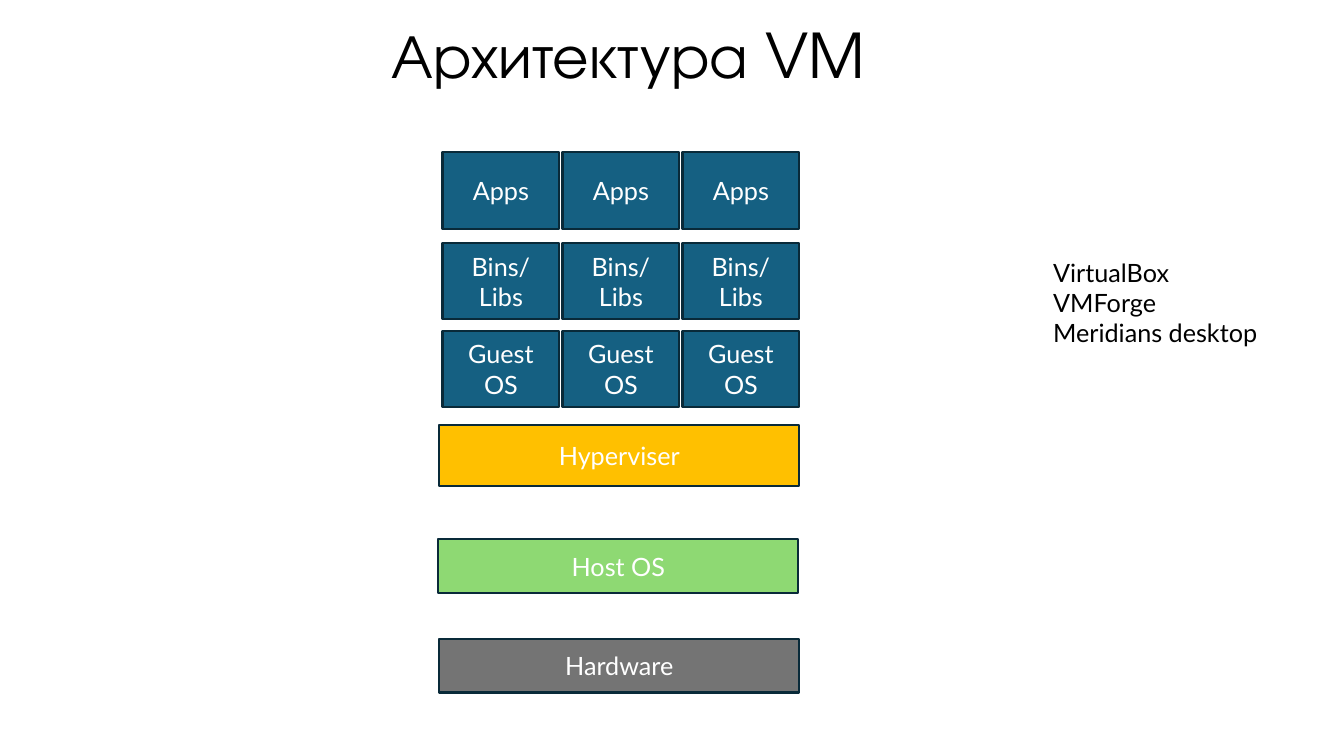
from dataclasses import dataclass

from pptx import Presentation
from pptx.dml.color import RGBColor
from pptx.enum import shapes, text
from pptx.util import Pt

COLORS = {
    "vm": "156082",
    "hypervisor": "FFC000",
    "host": "8ED973",
    "hardware": "747474",
    "outline": "092A39",
    "light": "FFFFFF",
    "dark": "000000",
}
BODY_FONT = "Lato"
TITLE_FONT = "TeX Gyre Adventor"
VM_COUNT = 3
VM_LEFT, VM_STEP = 316.1, 85.7
VM_WIDTH, VM_HEIGHT = 83.5, 54.7


@dataclass(frozen=True)
class Block:
    label: str
    color: str
    left: float
    top: float
    width: float
    height: float


@dataclass(frozen=True)
class Label:
    lines: tuple[str, ...]
    font: str
    size: float
    left: float
    top: float
    width: float
    height: float


BASE_LAYERS = [
    Block("Hardware", "hardware", 313.9, 456.5, 257, 38.2),
    Block("Host OS", "host", 313.2, 385.2, 257, 38.2),
    Block("Hyperviser", "hypervisor", 313.9, 303.8, 257, 43.2),
]
VM_ROWS = {"Guest OS": 236.2, "Bins/Libs": 173.5, "Apps": 108.7}
VM_BLOCKS = [
    Block(label, "vm", VM_LEFT + column * VM_STEP, top, VM_WIDTH, VM_HEIGHT)
    for column in range(VM_COUNT)
    for label, top in VM_ROWS.items()
]
PRODUCTS = Label(("VirtualBox", "VMForge", "Meridians desktop"),
                 BODY_FONT, 18, 745.2, 180, 269.3, 72.7)
TITLE = Label(("Архитектура VM",), TITLE_FONT, 44, 202.3, 10.1, 493.2, 57.6)


def rgb(name: str) -> RGBColor:
    return RGBColor.from_string(COLORS[name])


def style_paragraph(para, font: str, size: float, color: str) -> None:
    para.font.name = font
    para.font.size = Pt(size)
    para.font.color.rgb = rgb(color)


def add_block(page, block: Block) -> None:
    box = page.shapes.add_shape(
        shapes.MSO_SHAPE.RECTANGLE,
        Pt(block.left), Pt(block.top), Pt(block.width), Pt(block.height))
    box.shadow.inherit = False
    box.fill.solid()
    box.fill.fore_color.rgb = rgb(block.color)
    box.line.color.rgb = rgb("outline")
    box.line.width = Pt(1.5)
    frame = box.text_frame
    frame.word_wrap = True
    frame.vertical_anchor = text.MSO_ANCHOR.MIDDLE
    para = frame.paragraphs[0]
    para.text = block.label
    para.alignment = text.PP_ALIGN.CENTER
    style_paragraph(para, BODY_FONT, 18, "light")


def add_label(page, label: Label):
    """Draw a text box and return its text frame."""
    box = page.shapes.add_textbox(
        Pt(label.left), Pt(label.top), Pt(label.width), Pt(label.height))
    frame = box.text_frame
    frame.word_wrap = True
    frame.text = "\n".join(label.lines)
    for para in frame.paragraphs:
        style_paragraph(para, label.font, label.size, "dark")
    return frame


def add_title(page) -> None:
    frame = add_label(page, TITLE)
    frame.margin_left = frame.margin_right = 0
    frame.margin_top = frame.margin_bottom = 0
    para = frame.paragraphs[0]
    para.alignment = text.PP_ALIGN.CENTER
    para.line_spacing = Pt(55)


def main() -> None:
    deck = Presentation()
    deck.slide_width, deck.slide_height = Pt(960), Pt(540)
    page = deck.slides.add_slide(deck.slide_layouts[6])
    for block in BASE_LAYERS + VM_BLOCKS:
        add_block(page, block)
    products = add_label(page, PRODUCTS)
    products.auto_size = text.MSO_AUTO_SIZE.SHAPE_TO_FIT_TEXT
    add_title(page)
    deck.save("out.pptx")


if __name__ == "__main__":
    main()
